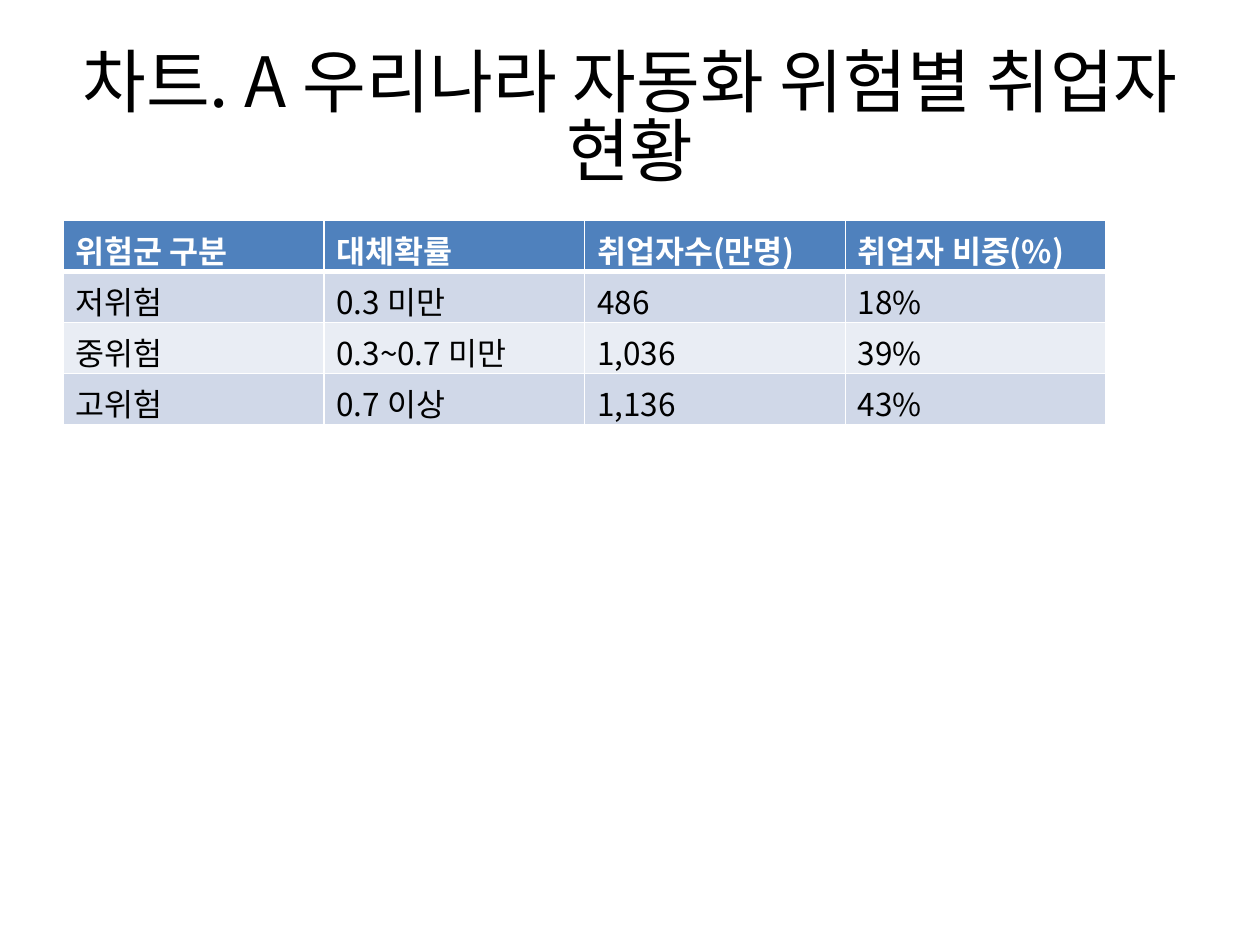
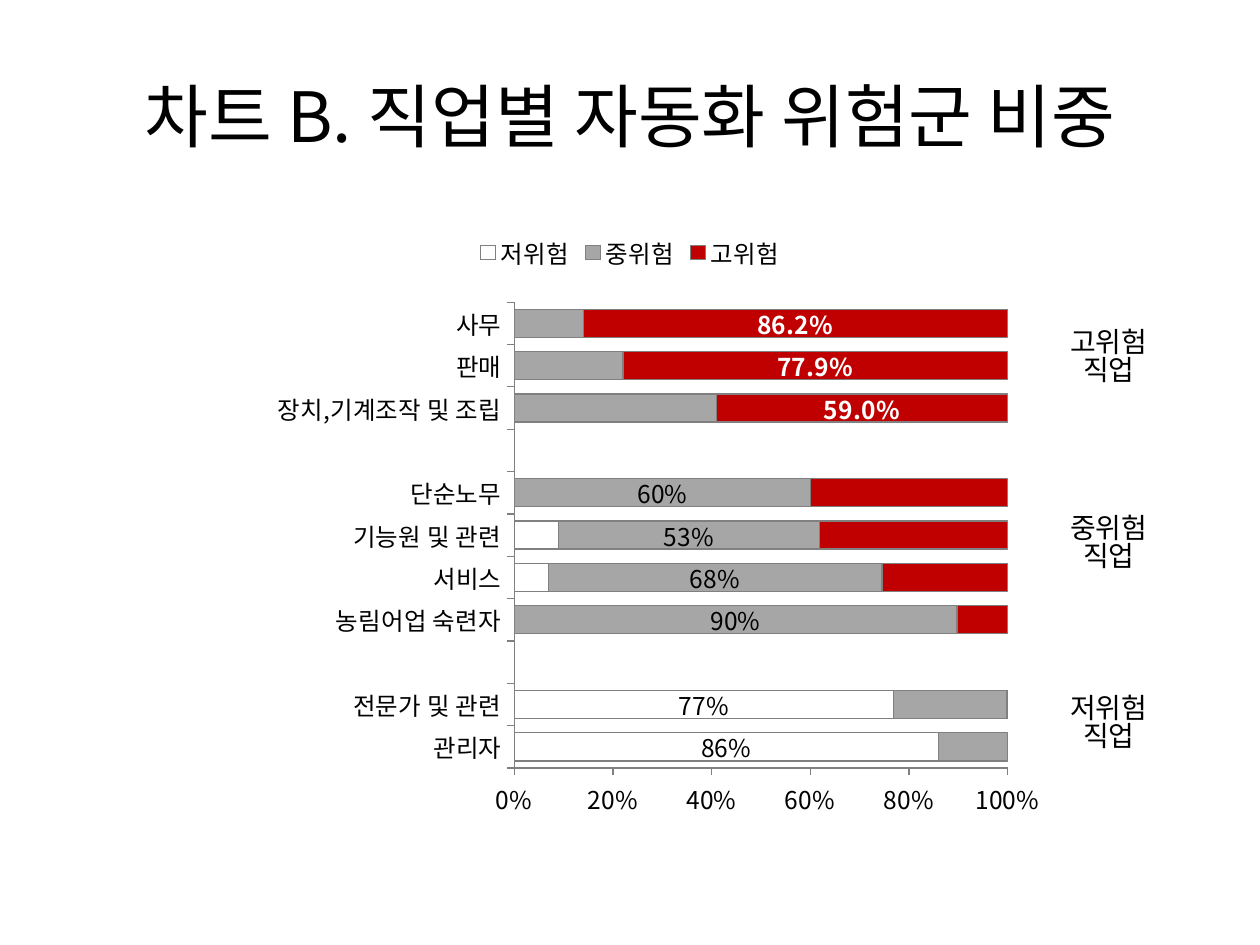
import pptx
import pptx.chart.data
import pptx.dml.color
import pptx.enum.chart
import pptx.enum.text
import pptx.oxml
import pptx.oxml.ns
import pptx.util
from dataclasses import dataclass

Inches, Pt = pptx.util.Inches, pptx.util.Pt
qn = pptx.oxml.ns.qn


# Theme
@dataclass(frozen=True)
class Theme:
    font: str = "Noto Sans CJK KR"
    ink: str = "000000"
    white: str = "FFFFFF"
    header: str = "4F81BD"
    bands: tuple = ("D0D8E8", "E9EDF4")
    line: str = "808080"
    risks: tuple = ("FFFFFF", "A6A6A6", "C00000")
    title_size: float = 39.6
    table_size: float = 18
    note_size: float = 16
    chart_size: float = 14
    spacing: float = 0.83


T = Theme()

# Content
TITLES = ["차트. A 우리나라 자동화 위험별 취업자 현황",
          "차트 B. 직업별 자동화 위험군 비중"]

WORKERS = [
    ("위험군 구분", "대체확률", "취업자수(만명)", "취업자 비중(%)"),
    ("저위험", "0.3 미만", "486", "18%"),
    ("중위험", "0.3~0.7 미만", "1,036", "39%"),
    ("고위험", "0.7 이상", "1,136", "43%"),
]

RISKS = ("저위험", "중위험", "고위험")
JOBS = [  # from the bottom bar up; an empty name is a gap between groups
    ("관리자", 0.86, 0.14, 0),
    ("전문가 및 관련", 0.77, 0.23, 0.001),
    ("", None, None, None),
    ("농림어업 숙련자", 0, 0.9, 0.103),
    ("서비스", 0.07, 0.68, 0.256),
    ("기능원 및 관련", 0.09, 0.53, 0.381),
    ("단순노무", 0, 0.6, 0.398),
    ("", None, None, None),
    ("장치,기계조작 및 조립", 0, 0.41, 0.59),
    ("판매", 0, 0.22, 0.779),
    ("사무", 0, 0.14, 0.862),
]
LABELLED = [range(0, 2), range(3, 7), range(8, 11)]  # bars labelled per risk
LABEL_FORMATS = ("0%", "0%", "0.0%")
PLOT = dict(x=0.398, y=0.131, w=0.435, h=0.747)

GROUPS = [("고위험 직업", 2.57), ("중위험\v직업", 4.05), ("저위험\v직업", 5.48)]


# Helpers
def rgb(color):
    return pptx.dml.color.RGBColor.from_string(color)


def xml(tag, body="", attrs=""):
    ns = pptx.oxml.ns.nsdecls("a", "c")
    return pptx.oxml.parse_xml(f"<{tag} {ns} {attrs}>{body}</{tag}>")


def style(font, size, color=T.ink, bold=False):
    font.name, font.size, font.bold = T.font, Pt(size), bold
    font.color.rgb = rgb(color)


def add_east_asian_font(root):
    for latin in list(root.iter(qn("a:latin"))):
        latin.addnext(xml("a:ea", attrs=f'typeface="{T.font}"'))


def add_text(slide, text, box, size):
    tb = slide.shapes.add_textbox(*map(Inches, box))
    tf = tb.text_frame
    tf.word_wrap = True
    p = tf.paragraphs[0]
    p.text = text
    p.alignment = pptx.enum.text.PP_ALIGN.CENTER
    p.line_spacing = T.spacing
    for r in p.runs:
        style(r.font, size)
    return tf


def add_slide(prs, title):
    slide = prs.slides.add_slide(prs.slide_layouts[6])
    tf = add_text(slide, title, (0.5, 0.3, 9, 1.25), T.title_size)
    tf.vertical_anchor = pptx.enum.text.MSO_ANCHOR.MIDDLE
    tf.margin_top, tf.margin_bottom = Inches(0.08), 0
    return slide


def set_borders(cell, is_header):
    tcPr = cell._tc.get_or_add_tcPr()
    fill = f'<a:solidFill><a:srgbClr val="{T.white}"/></a:solidFill>'
    for side in "LRTB":
        width = Pt(3 if is_header and side == "B" else 1)
        tcPr.append(xml(f"a:ln{side}", fill, f'w="{width}"'))


def add_table(slide, rows):
    frame = slide.shapes.add_table(len(rows), len(rows[0]), Inches(0.5),
                                   Inches(1.75), Inches(8.28), Inches(1.62))
    for i, row in enumerate(rows):
        is_header = i == 0
        for j, text in enumerate(row):
            cell = frame.table.cell(i, j)
            cell.text = text
            style(cell.text_frame.paragraphs[0].runs[0].font, T.table_size,
                  T.white if is_header else T.ink, is_header)
            set_borders(cell, is_header)
            cell.fill.solid()
            cell.fill.fore_color.rgb = rgb(
                T.header if is_header else T.bands[(i - 1) % 2])


def style_series(series, color, shown, number_format, white_bold):
    series.format.fill.solid()
    series.format.fill.fore_color.rgb = rgb(color)
    series.format.line.color.rgb = rgb(T.line)
    series.format.line.width = Pt(0.75)
    labels = series.data_labels
    labels.show_value = True
    labels.number_format = number_format
    labels.number_format_is_linked = False
    style(labels.font, T.chart_size, T.white if white_bold else T.ink, white_bold)
    hidden = [i for i in range(len(JOBS)) if i not in shown]
    for pos, i in enumerate(hidden):
        body = f'<c:idx val="{i}"/><c:delete val="1"/>'
        labels._element.insert(pos, xml("c:dLbl", body))


def add_chart(slide):
    names, *values = zip(*JOBS)
    data = pptx.chart.data.CategoryChartData(number_format="General")
    data.categories = names
    for risk, shares in zip(RISKS, values):
        data.add_series(risk, shares)
    chart = slide.shapes.add_chart(
        pptx.enum.chart.XL_CHART_TYPE.BAR_STACKED_100, Inches(0.5),
        Inches(1.75), Inches(9), Inches(4.95), data).chart
    style(chart.font, T.chart_size)
    chart.has_title = False
    chart.has_legend = True
    chart.legend.position = pptx.enum.chart.XL_LEGEND_POSITION.TOP
    chart.legend.include_in_layout = False
    style(chart.legend.font, T.chart_size)

    # Bars
    plot = chart.plots[0]
    plot.gap_width, plot.overlap = 50, 100
    plot.vary_by_categories = False
    for k, series in enumerate(plot.series):
        style_series(series, T.risks[k], LABELLED[k], LABEL_FORMATS[k], k == 2)

    # Axes
    for axis in (chart.category_axis, chart.value_axis):
        axis.has_major_gridlines = False
        axis.major_tick_mark = pptx.enum.chart.XL_TICK_MARK.OUTSIDE
        axis.format.line.color.rgb = rgb(T.line)
        style(axis.tick_labels.font, T.chart_size)
    axis = chart.value_axis
    axis.minimum_scale, axis.maximum_scale, axis.major_unit = 0, 1, 0.2
    axis.tick_labels.number_format = "0%"
    axis.tick_labels.number_format_is_linked = False

    # Fixed inner plot area
    area = chart._chartSpace.find(".//" + qn("c:plotArea"))
    for old in area.findall(qn("c:layout")):
        area.remove(old)
    body = '<c:layoutTarget val="inner"/>'
    body += "".join(f'<c:{k}Mode val="edge"/>' for k in "xy")
    body += "".join(f'<c:{k} val="{v}"/>' for k, v in PLOT.items())
    area.insert(0, xml("c:layout", f"<c:manualLayout>{body}</c:manualLayout>"))
    add_east_asian_font(chart._chartSpace)


# Slides
prs = pptx.Presentation()
prs.slide_width, prs.slide_height = Inches(10), Inches(7.5)

table_slide, chart_slide = [add_slide(prs, title) for title in TITLES]
add_table(table_slide, WORKERS)
add_chart(chart_slide)
for text, top in GROUPS:
    add_text(chart_slide, text, (8.23, top, 1.14, 0.64), T.note_size)

for slide in prs.slides:
    add_east_asian_font(slide._element)

prs.save("out.pptx")
